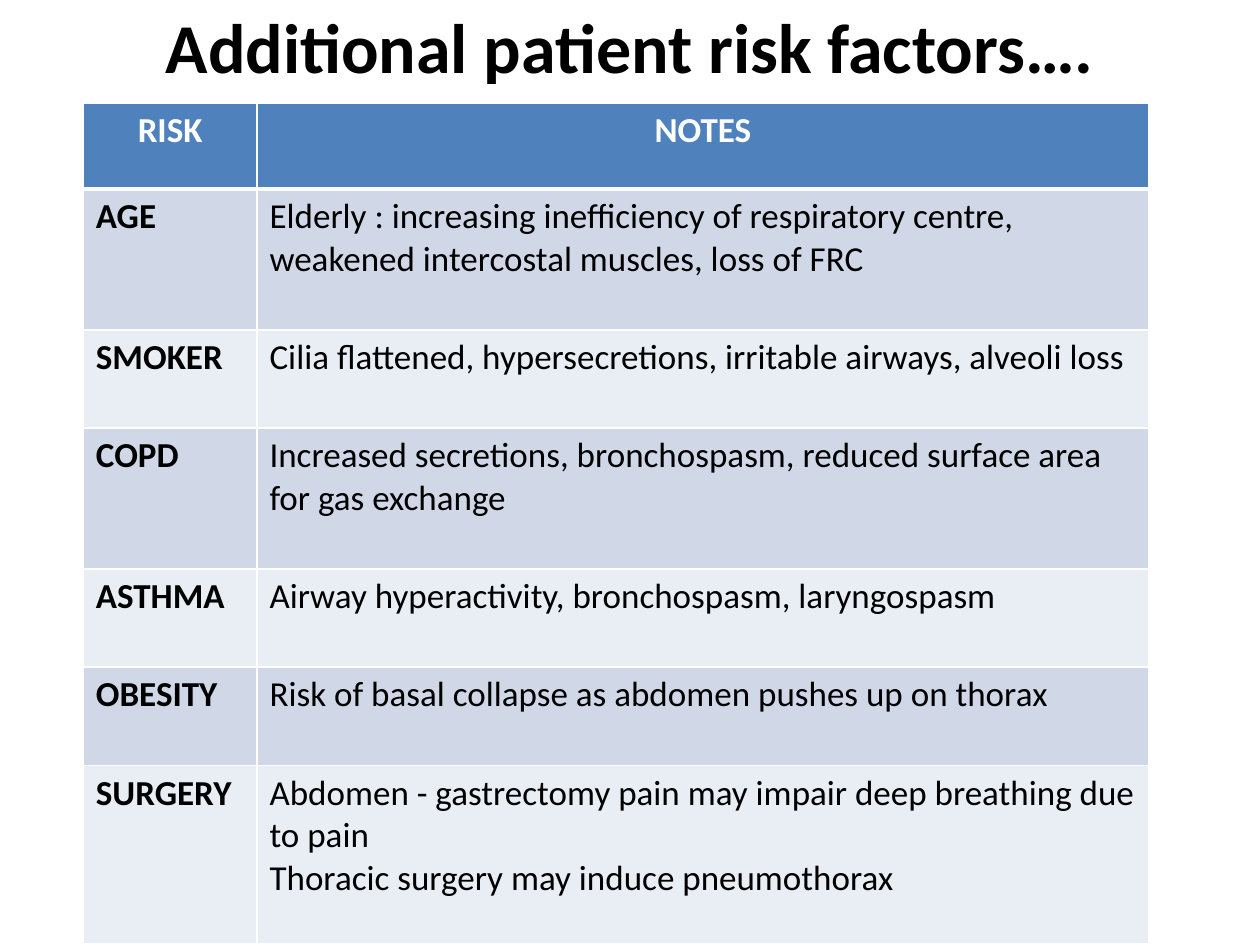
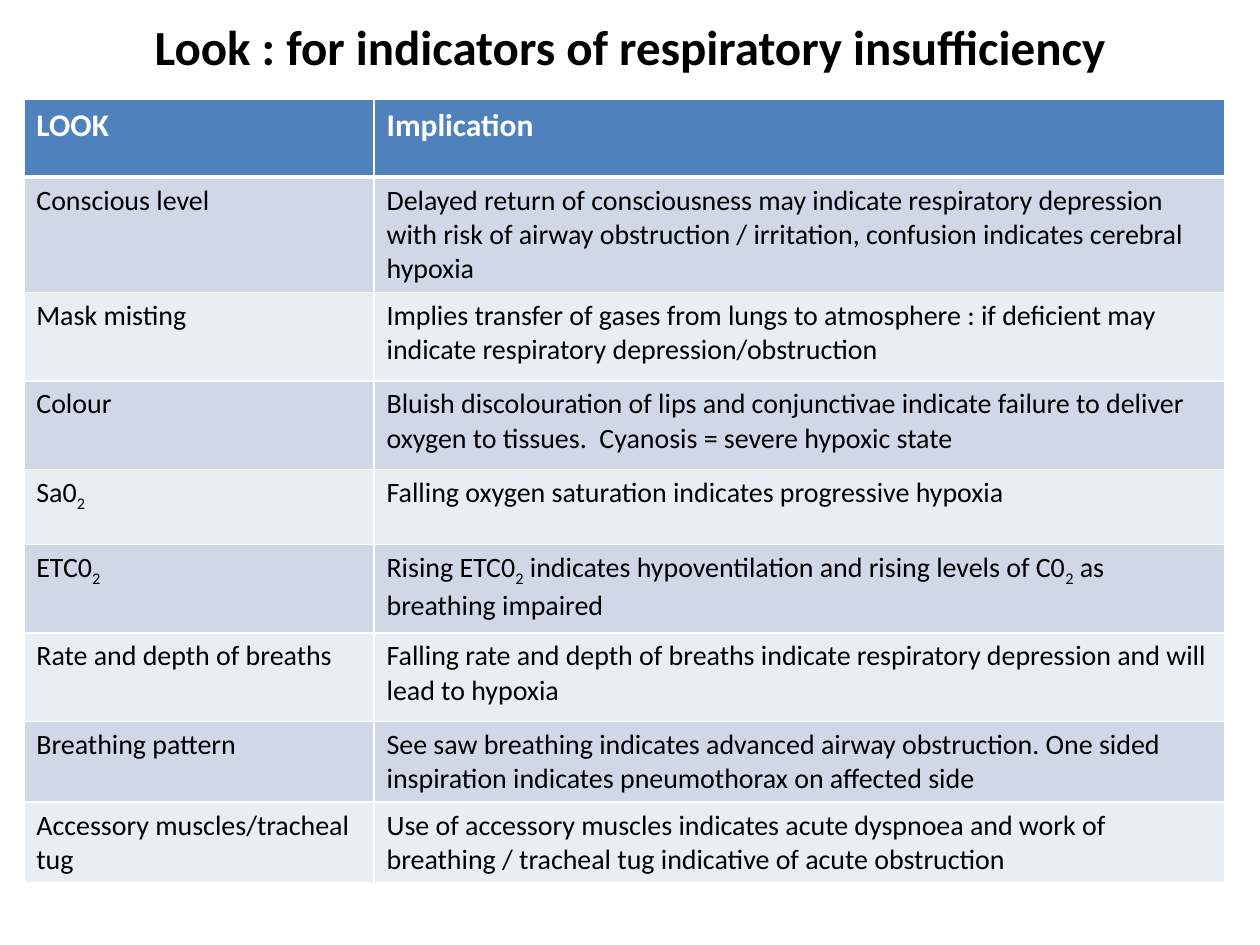
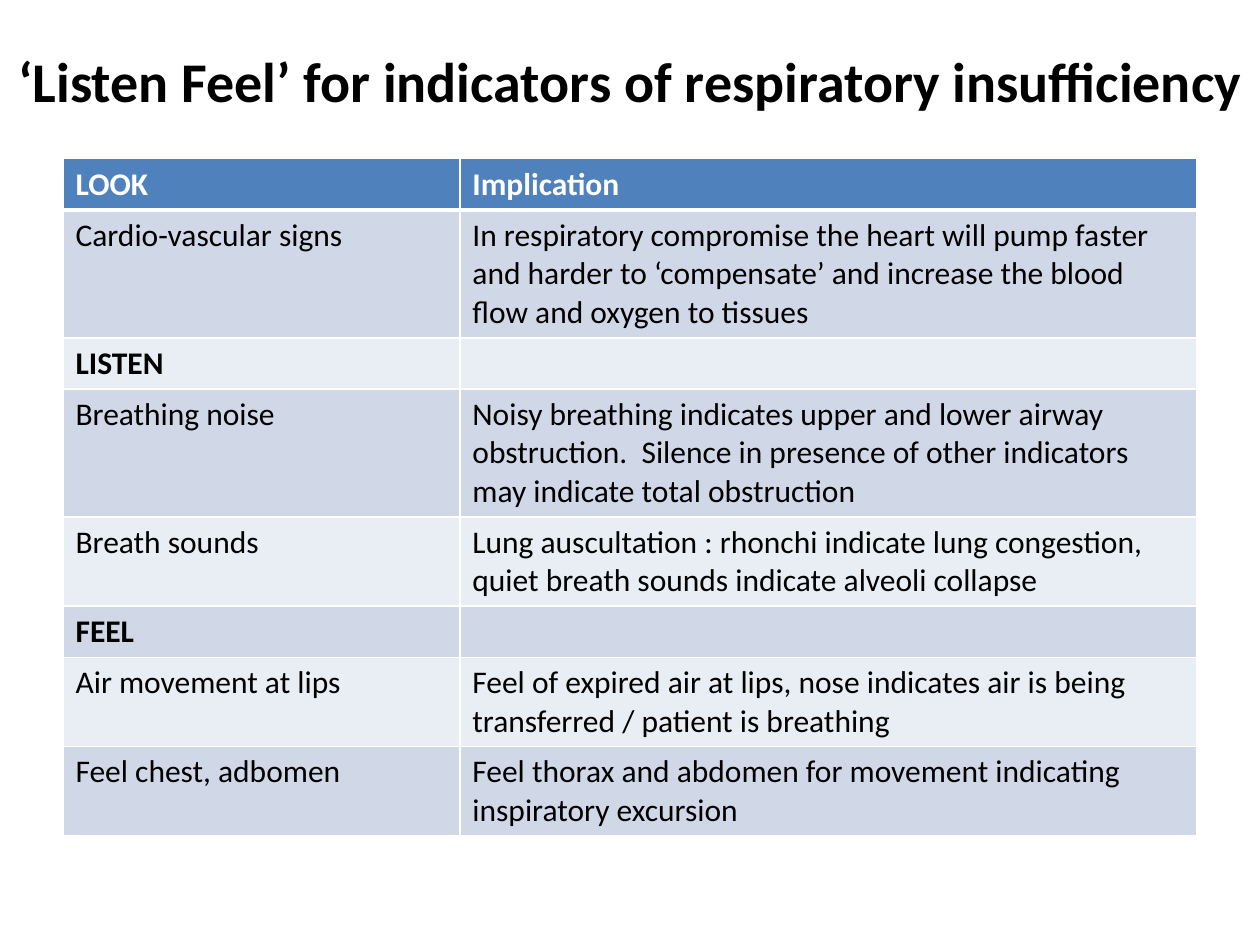
from lxml.etree import SubElement
from pptx import Presentation
from pptx.dml.color import RGBColor
from pptx.enum.text import MSO_ANCHOR, PP_ALIGN
from pptx.oxml.ns import qn
from pptx.util import Cm, Pt

FONT = "Calibri"
BLACK = RGBColor(0x00, 0x00, 0x00)
WHITE = RGBColor(0xFF, 0xFF, 0xFF)
HEADER_BLUE = RGBColor(0x4F, 0x81, 0xBD)
BANDS = [RGBColor(0xD0, 0xD8, 0xE8), RGBColor(0xE9, 0xED, 0xF4)]
TITLE_HEIGHT = 3.17
BLANK_LAYOUT = 6

# Each row: height in cm, label, notes; _x_ marks a subscript
RISK_ROWS = [
    (1.73, "RISK", "NOTES"),
    (2.84, "AGE", "Elderly : increasing inefficiency of respiratory centre, "
     "weakened intercostal muscles, loss of FRC"),
    (1.98, "SMOKER", "Cilia flattened, hypersecretions, irritable airways, alveoli loss"),
    (2.84, "COPD", "Increased secretions, bronchospasm, reduced surface area "
     "for gas exchange"),
    (1.98, "ASTHMA", "Airway hyperactivity, bronchospasm, laryngospasm"),
    (1.98, "OBESITY", "Risk of basal collapse as abdomen pushes up on thorax"),
    (3.59, "SURGERY", "Abdomen - gastrectomy pain may impair deep breathing due to pain\n"
     "Thoracic surgery may induce pneumothorax"),
]
LOOK_ROWS = [
    (1.56, "LOOK", "Implication"),
    (2.33, "Conscious level", "Delayed return of consciousness may indicate respiratory "
     "depression with risk of airway obstruction / irritation, confusion indicates "
     "cerebral hypoxia"),
    (1.78, "Mask misting", "Implies transfer of gases from lungs to atmosphere : "
     "if deficient may indicate respiratory depression/obstruction"),
    (1.78, "Colour", "Bluish discolouration of lips and conjunctivae indicate failure "
     "to deliver oxygen to tissues.  Cyanosis = severe hypoxic state"),
    (1.52, "Sa0_2_", "Falling oxygen saturation indicates progressive hypoxia"),
    (1.78, "ETC0_2_", "Rising ETC0_2_ indicates hypoventilation and rising levels "
     "of C0_2_ as breathing impaired"),
    (1.78, "Rate and depth of breaths", "Falling rate and depth of breaths indicate "
     "respiratory depression and will lead to hypoxia"),
    (1.63, "Breathing pattern", "See saw breathing indicates advanced airway obstruction. "
     "One sided inspiration indicates pneumothorax on affected side"),
    (1.63, "Accessory muscles/tracheal tug", "Use of accessory muscles indicates acute "
     "dyspnoea and work of breathing / tracheal tug indicative of acute obstruction"),
]
LISTEN_FEEL_ROWS = [
    (1.03, "LOOK", "Implication"),
    (2.58, "Cardio-vascular signs", "In respiratory compromise the heart will pump faster "
     "and harder to ‘compensate’ and increase the blood flow and oxygen to tissues"),
    (1.03, "LISTEN", ""),
    (2.58, "Breathing noise", "Noisy breathing indicates upper and lower airway "
     "obstruction.  Silence in presence of other indicators may indicate total obstruction"),
    (1.8, "Breath sounds", "Lung auscultation : rhonchi indicate lung congestion, "
     "quiet breath sounds indicate alveoli collapse"),
    (1.03, "FEEL", ""),
    (1.8, "Air movement at lips", "Feel of expired air at lips, nose indicates air is "
     "being transferred / patient is breathing"),
    (1.8, "Feel chest, adbomen", "Feel thorax and abdomen for movement indicating "
     "inspiratory excursion"),
]


def write_text(text_frame, text, size, color=BLACK, bold=False, align=PP_ALIGN.LEFT):
    """Fill a frame: one paragraph per line, subscripts between underscores."""
    for index, line in enumerate(text.split("\n")):
        paragraph = text_frame.add_paragraph() if index else text_frame.paragraphs[0]
        paragraph.alignment = align
        for part, piece in enumerate(line.split("_")):
            if not piece:
                continue
            run = paragraph.add_run()
            run.text = piece
            run.font.name = FONT
            run.font.size = Pt(size)
            run.font.bold = bold
            run.font.color.rgb = color
            if part % 2:
                run.font._element.set("baseline", "-25000")


def set_borders(cell, top=1, bottom=1):
    properties = cell._tc.get_or_add_tcPr()
    sides = [("lnL", 1), ("lnR", 1), ("lnT", top), ("lnB", bottom)]
    for index, (side, width) in enumerate(sides):
        line = SubElement(properties, qn(f"a:{side}"), w=str(Pt(width)))
        fill = SubElement(line, qn("a:solidFill"))
        SubElement(fill, qn("a:srgbClr"), val=str(WHITE))
        properties.insert(index, line)


def add_title(slide, text, left, top, width, size):
    box = slide.shapes.add_textbox(Cm(left), Cm(top), Cm(width), Cm(TITLE_HEIGHT))
    box.text_frame.word_wrap = True
    box.text_frame.vertical_anchor = MSO_ANCHOR.MIDDLE
    write_text(box.text_frame, text, size, bold=True, align=PP_ALIGN.CENTER)


def add_notes_table(slide, rows, left, top, widths, header_size, body_size,
                    header_align=PP_ALIGN.LEFT, bold_labels=False):
    height = sum(row[0] for row in rows)
    table = slide.shapes.add_table(len(rows), len(widths), Cm(left), Cm(top),
                                   Cm(sum(widths)), Cm(height)).table
    for column, width in zip(table.columns, widths):
        column.width = Cm(width)
    for row_index, (row_height, label, notes) in enumerate(rows):
        table.rows[row_index].height = Cm(row_height)
        is_header = row_index == 0
        for column_index, text in enumerate((label, notes)):
            cell = table.cell(row_index, column_index)
            cell.fill.solid()
            if is_header:
                cell.fill.fore_color.rgb = HEADER_BLUE
                write_text(cell.text_frame, text, header_size, color=WHITE,
                           bold=True, align=header_align)
            else:
                cell.fill.fore_color.rgb = BANDS[(row_index - 1) % 2]
                # Labels without notes are section headings
                bold = column_index == 0 and (bold_labels or not notes)
                write_text(cell.text_frame, text, body_size, bold=bold)
            # Thick rule below the header
            set_borders(cell, top=3 if row_index == 1 else 1,
                        bottom=3 if is_header else 1)


def main():
    presentation = Presentation()
    presentation.slide_width, presentation.slide_height = Cm(25.4), Cm(19.05)
    layout = presentation.slide_layouts[BLANK_LAYOUT]

    # Patient risk factors
    slide = presentation.slides.add_slide(layout)
    add_title(slide, "Additional patient risk factors….", 1.27, -0.66, 22.86, size=40)
    add_notes_table(slide, RISK_ROWS, 1.68, 2.08, (3.5, 17.98), 20, 20,
                    header_align=PP_ALIGN.CENTER, bold_labels=True)

    # Look
    slide = presentation.slides.add_slide(layout)
    add_title(slide, "Look : for indicators of respiratory insufficiency",
              0, -0.66, 25.4, size=28)
    add_notes_table(slide, LOOK_ROWS, 0.48, 2.01, (7.06, 17.15), 18, 16)

    # Listen and feel
    slide = presentation.slides.add_slide(layout)
    add_title(slide, "‘Listen Feel’ for indicators of respiratory insufficiency",
              -0.61, 0.03, 26.64, size=32)
    add_notes_table(slide, LISTEN_FEEL_ROWS, 1.27, 3.2, (8, 14.86), 18, 18)

    presentation.save("out.pptx")


if __name__ == "__main__":
    main()
